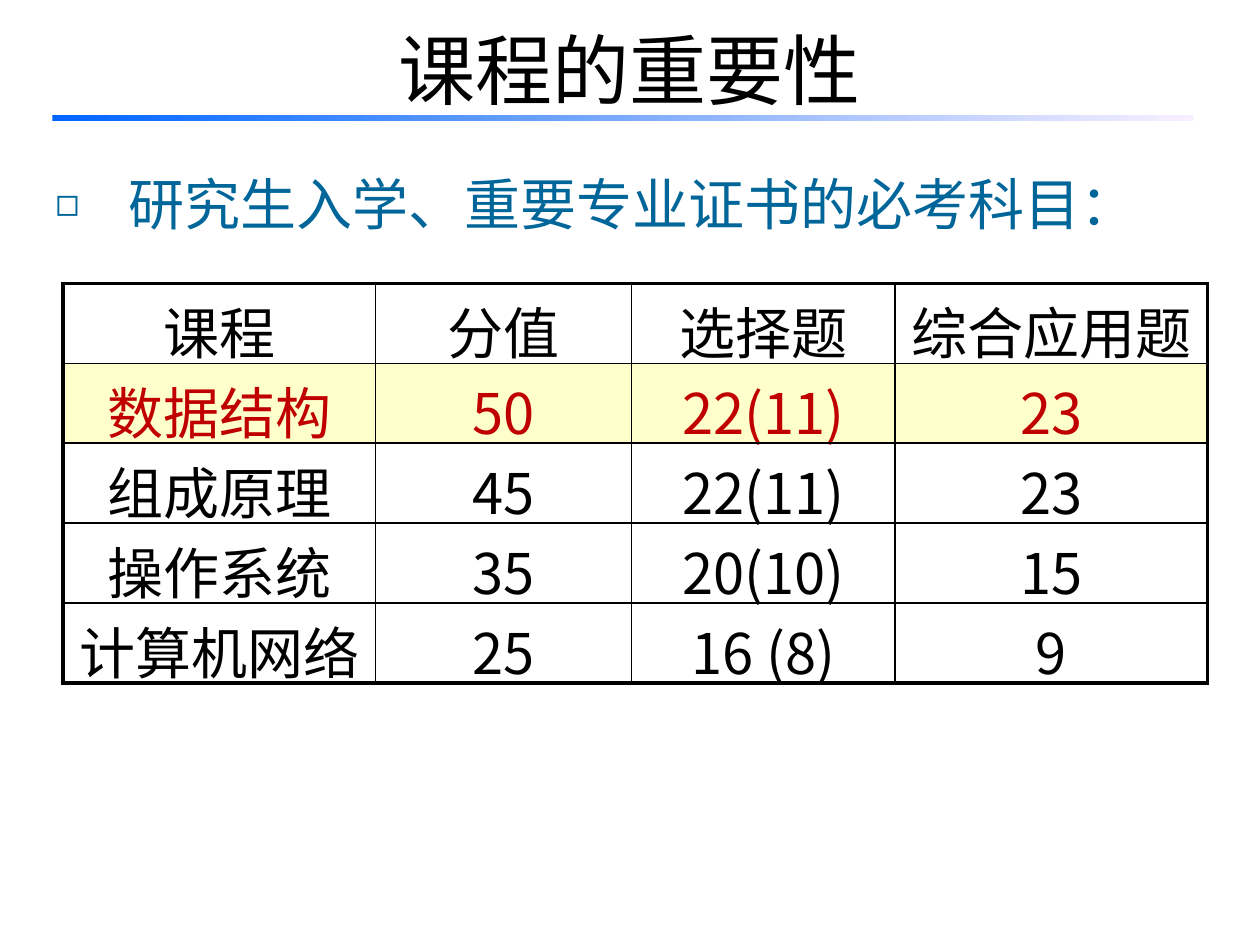
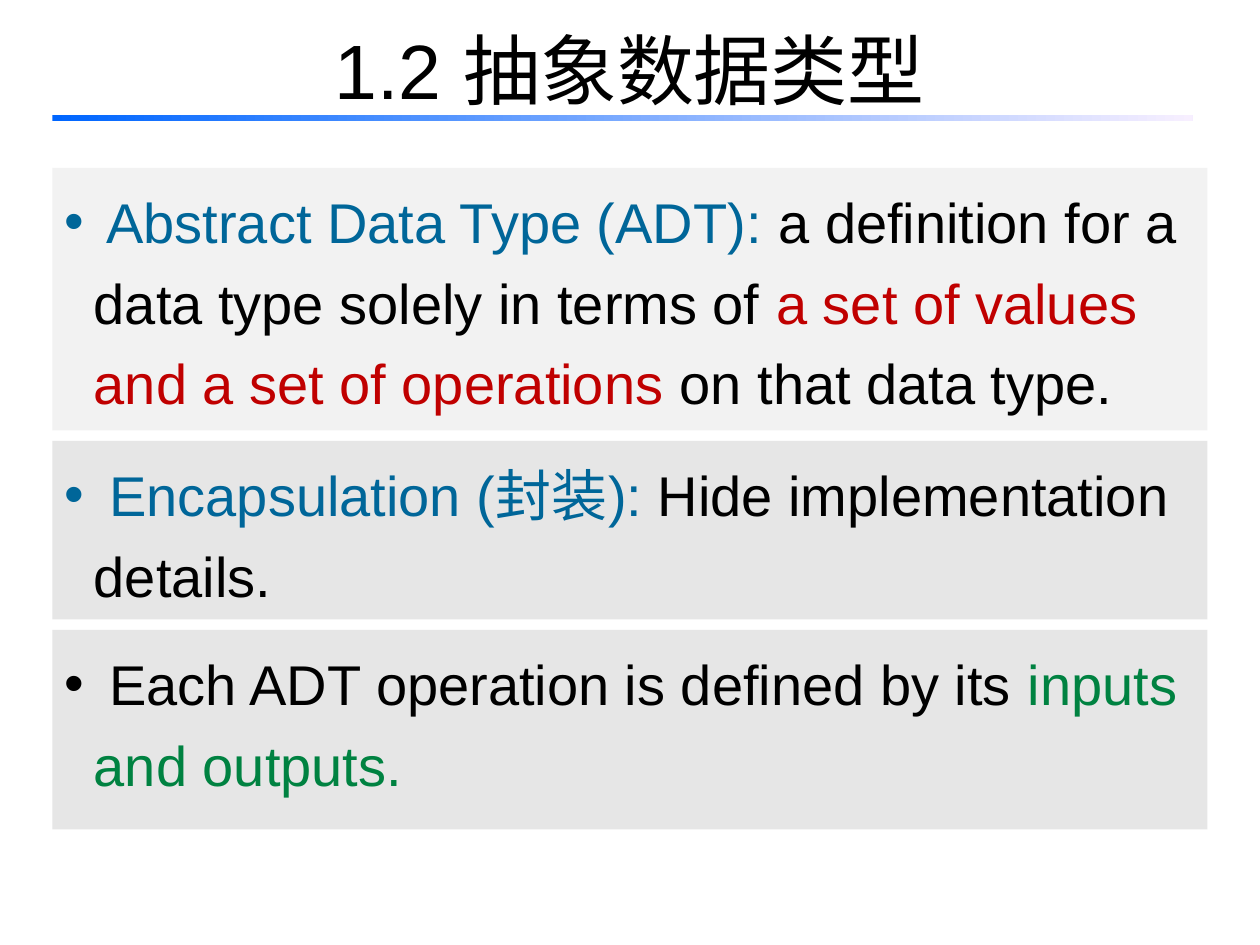
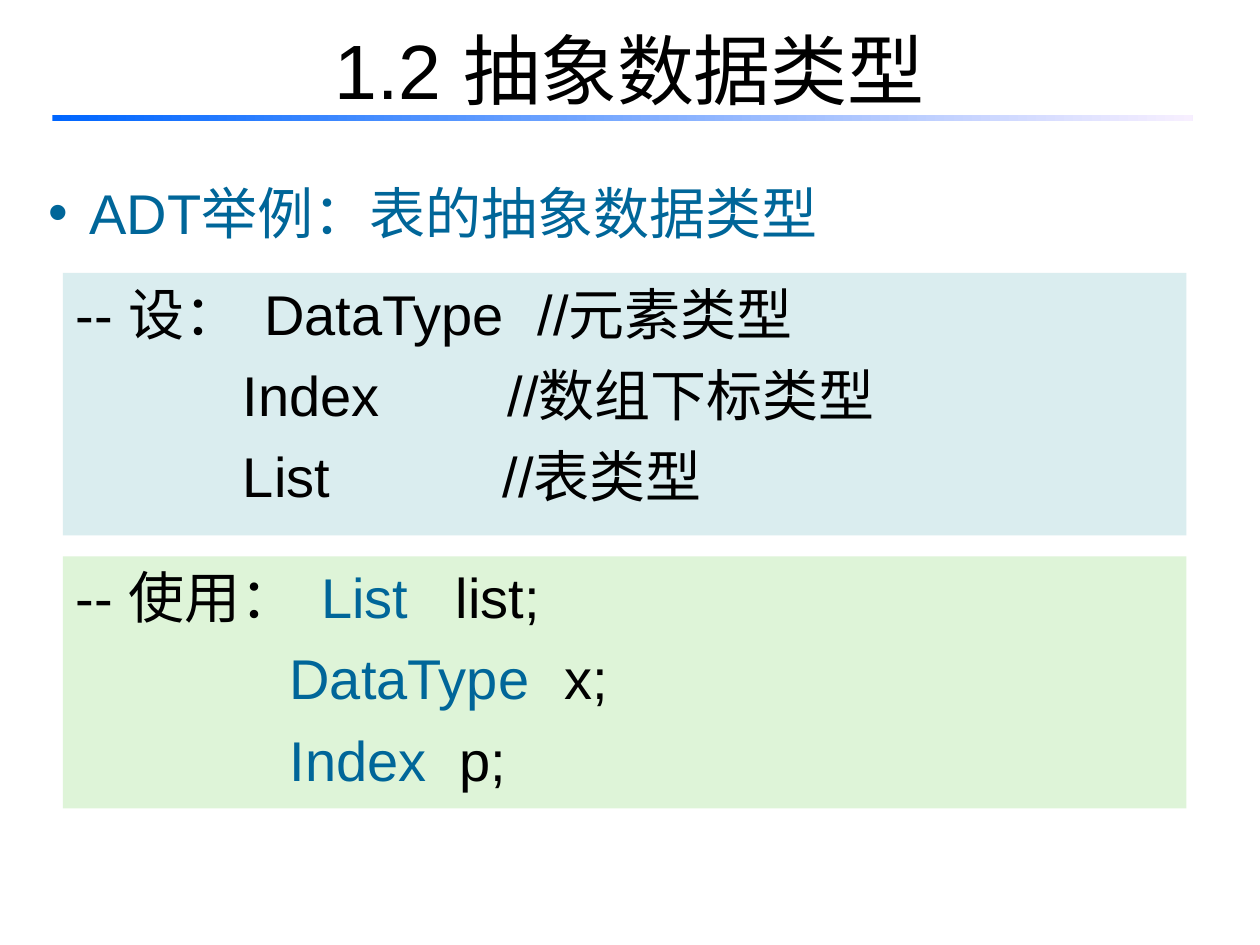
from dataclasses import dataclass
from typing import Any, NamedTuple

from lxml.etree import SubElement
from pptx import Presentation
from pptx.dml.color import RGBColor
from pptx.enum.shapes import MSO_SHAPE
from pptx.enum.text import MSO_ANCHOR, PP_ALIGN
from pptx.oxml.ns import qn
from pptx.util import Emu, Inches, Pt

COLOURS = {
    "black": "000000", "term": "006699", "accent": "C00000", "green": "008241",
    "rule_start": "0066FF", "rule_end": "F7EFFF", "highlight": "FFFFCC",
    "pale_grey": "F2F2F2", "grey": "E6E6E6", "pale_blue": "DAEDEF", "pale_green": "DEF4D8",
}
LATIN, CJK = "Arial", "Noto Sans CJK SC"
SLIDE_WIDTH, SLIDE_HEIGHT = Inches(10), Inches(7.5)
COLUMNS, ROWS = 120, 90
BODY = {"name": LATIN, "size": Pt(32)}
TITLE = {"name": LATIN, "size": Pt(44)}
TABLE_TEXT = {"name": CJK, "size": Pt(32)}
THIN, THICK = 1, 2.25


class Area(NamedTuple):
    column: float
    row: float
    columns: float
    rows: float


class Words(NamedTuple):
    text: str
    colour: str = "black"


class Bullet(NamedTuple):
    symbol: str
    hang: float
    percent: int = 100


@dataclass(frozen=True)
class Line:
    words: tuple[Words, ...]
    spacing: float = 1.0
    before: float = 0
    bullet: Bullet | None = None
    tabs: tuple[float, ...] = ()


@dataclass(frozen=True)
class Panel:
    area: Area
    lines: tuple[Line, ...]
    fill: str | None = None


DOT = Bullet("•", 0.23)
SQUARE = Bullet("◻", 0.58, 70)
TITLE_AREA = Area(6, -1, 108, 15)
RULE_AREA = Area(5, 11, 108.6, 0.5)

SCORES = (
    ("课程", "分值", "选择题", "综合应用题"),
    ("数据结构", "50", "22(11)", "23"),
    ("组成原理", "45", "22(11)", "23"),
    ("操作系统", "35", "20(10)", "15"),
    ("计算机网络", "25", "16 (8)", "9"),
)
SCORE_COLUMNS = (29.75, 24.4, 25.1, 29.75)
SCORE_ROW = 7.2
HIGHLIGHTED_ROW = 1

EXAM_NOTE = Panel(
    Area(4.1, 14, 115, 8),
    (Line((Words("研究生入学、重要专业证书的必考科目：", "term"),), 1.25, bullet=SQUARE),),
)


def definition(row: float, rows: float, fill: str, *words: Words) -> Panel:
    return Panel(Area(5, row, 110, rows), (Line(words, 1.2, bullet=DOT),), fill)


def declarations(row: float, rows: float, fill: str, *lines: Line) -> Panel:
    return Panel(Area(6, row, 107, rows), lines, fill)


def declared(kind: str, variable: str, stops: tuple[float, float],
             lead: str = "", before: float = 8) -> Line:
    return Line((Words(f"{lead}\t"), Words(f"{kind}\t", "term"), Words(variable)),
                before=before, tabs=stops)


def commented(kind: str, remark: str, stops: tuple[float, float],
              lead: str = "", before: float = 8) -> Line:
    return Line((Words(f"{lead}\t{kind}\t//{remark}"),), before=before, tabs=stops)


ADT_DEFINITIONS = (
    definition(16, 25, "pale_grey",
               Words(" Abstract Data Type (ADT): ", "term"),
               Words("a definition for a data type solely in terms of "),
               Words("a set of values and a set of operations", "accent"),
               Words(" on that data type.")),
    definition(42, 17, "grey",
               Words(" Encapsulation (封装): ", "term"),
               Words("Hide implementation details.")),
    definition(60, 19, "grey",
               Words(" Each ADT operation is defined by its "),
               Words("inputs and outputs.", "green")),
)
LIST_EXAMPLE = (
    Panel(Area(3.4, 14.8, 113.6, 9.2),
          (Line((Words(" ADT举例：表的抽象数据类型", "term"),), 1.25, bullet=DOT),)),
    declarations(26, 25, "pale_blue",
                 commented("DataType", "元素类型", (1.5, 3.67), "-- 设：", 0),
                 commented("Index", "数组下标类型", (1.33, 3.43)),
                 commented("List", "表类型", (1.33, 3.39))),
    declarations(53, 24, "pale_green",
                 declared("List", "list;", (1.95, 3.02), "-- 使用：", 0),
                 declared("DataType", "x;", (1.7, 3.88)),
                 declared("Index", "p;", (1.7, 3.05))),
)


def rgb(colour: str) -> RGBColor:
    return RGBColor.from_string(COLOURS[colour])


def across(columns: float) -> Emu:
    return Emu(round(SLIDE_WIDTH * columns / COLUMNS))


def down(rows: float) -> Emu:
    return Emu(round(SLIDE_HEIGHT * rows / ROWS))


def place(area: Area) -> tuple[Emu, Emu, Emu, Emu]:
    return across(area.column), down(area.row), across(area.columns), down(area.rows)


def apply(target: Any, values: dict[str, Any]) -> None:
    for attribute, value in values.items():
        setattr(target, attribute, value)


def add_words(paragraph: Any, words: Words, style: dict[str, Any]) -> None:
    run = paragraph.add_run()
    run.text = words.text
    apply(run.font, style)
    run.font.color.rgb = rgb(words.colour)


def add_line(paragraph: Any, line: Line) -> None:
    properties = paragraph._p.get_or_add_pPr()
    if line.bullet:
        hang = Inches(line.bullet.hang)
        properties.set("marL", str(hang))
        properties.set("indent", str(-hang))
        SubElement(properties, qn("a:buSzPct"), val=str(line.bullet.percent * 1000))
        SubElement(properties, qn("a:buFont"), typeface=LATIN)
        SubElement(properties, qn("a:buChar"), char=line.bullet.symbol)
    if line.tabs:
        stops = SubElement(properties, qn("a:tabLst"))
        for stop in line.tabs:
            SubElement(stops, qn("a:tab"), pos=str(Inches(stop)), algn="l")
    apply(paragraph, {"alignment": PP_ALIGN.LEFT, "line_spacing": line.spacing,
                      "space_before": Pt(line.before)})
    for words in line.words:
        add_words(paragraph, words, BODY)


def add_block(slide: Any, area: Area) -> Any:
    block = slide.shapes.add_shape(MSO_SHAPE.RECTANGLE, *place(area))
    block.shadow.inherit = False
    block.line.fill.background()
    return block


def add_panel(slide: Any, panel: Panel) -> None:
    if panel.fill:
        block = add_block(slide, panel.area)
        block.fill.solid()
        block.fill.fore_color.rgb = rgb(panel.fill)
    else:
        block = slide.shapes.add_textbox(*place(panel.area))
    frame = block.text_frame
    apply(frame, {"word_wrap": True, "vertical_anchor": MSO_ANCHOR.TOP})
    for index, line in enumerate(panel.lines):
        add_line(frame.add_paragraph() if index else frame.paragraphs[0], line)


def add_titled_slide(deck: Any, heading: str) -> Any:
    slide = deck.slides.add_slide(deck.slide_layouts[5])
    title = slide.shapes.title
    apply(title, dict(zip(("left", "top", "width", "height"), place(TITLE_AREA))))
    title.text_frame.vertical_anchor = MSO_ANCHOR.MIDDLE
    paragraph = title.text_frame.paragraphs[0]
    paragraph.alignment = PP_ALIGN.CENTER
    add_words(paragraph, Words(heading), TITLE)
    rule = add_block(slide, RULE_AREA)
    rule.fill.gradient()
    rule.fill.gradient_angle = 0
    for stop, colour, position in zip(rule.fill.gradient_stops, ("rule_start", "rule_end"), (0, 1)):
        stop.color.rgb = rgb(colour)
        stop.position = position
    return slide


def add_borders(cell: Any, widths: dict[str, float]) -> None:
    properties = cell._tc.get_or_add_tcPr()
    for index, (side, width) in enumerate(widths.items()):
        border = SubElement(properties, qn(f"a:ln{side}"), w=str(Pt(width)))
        ink = SubElement(border, qn("a:solidFill"))
        SubElement(ink, qn("a:srgbClr"), val=COLOURS["black"])
        properties.insert(index, border)


def add_scores(slide: Any) -> None:
    last_row, last_column = len(SCORES) - 1, len(SCORE_COLUMNS) - 1
    area = Area(6, 27, sum(SCORE_COLUMNS), SCORE_ROW * len(SCORES))
    table = slide.shapes.add_table(len(SCORES), len(SCORE_COLUMNS), *place(area)).table
    apply(table, {"first_row": False, "horz_banding": False})
    for column, columns in zip(table.columns, SCORE_COLUMNS):
        column.width = across(columns)
    for row, values in enumerate(SCORES):
        highlighted = row == HIGHLIGHTED_ROW
        for column, value in enumerate(values):
            cell = table.cell(row, column)
            if highlighted:
                cell.fill.solid()
                cell.fill.fore_color.rgb = rgb("highlight")
            else:
                cell.fill.background()
            paragraph = cell.text_frame.paragraphs[0]
            paragraph.alignment = PP_ALIGN.CENTER
            add_words(paragraph, Words(value, "accent" if highlighted else "black"), TABLE_TEXT)
            add_borders(cell, {
                "L": THIN if column else THICK,
                "R": THICK if column == last_column else THIN,
                "T": THIN if row else THICK,
                "B": THICK if row == last_row else THIN,
            })


def main() -> None:
    deck = Presentation()
    apply(deck, {"slide_width": SLIDE_WIDTH, "slide_height": SLIDE_HEIGHT})
    importance = add_titled_slide(deck, "课程的重要性")
    add_panel(importance, EXAM_NOTE)
    add_scores(importance)
    for panels in (ADT_DEFINITIONS, LIST_EXAMPLE):
        slide = add_titled_slide(deck, "1.2 抽象数据类型")
        for panel in panels:
            add_panel(slide, panel)
    deck.save("out.pptx")


if __name__ == "__main__":
    main()
